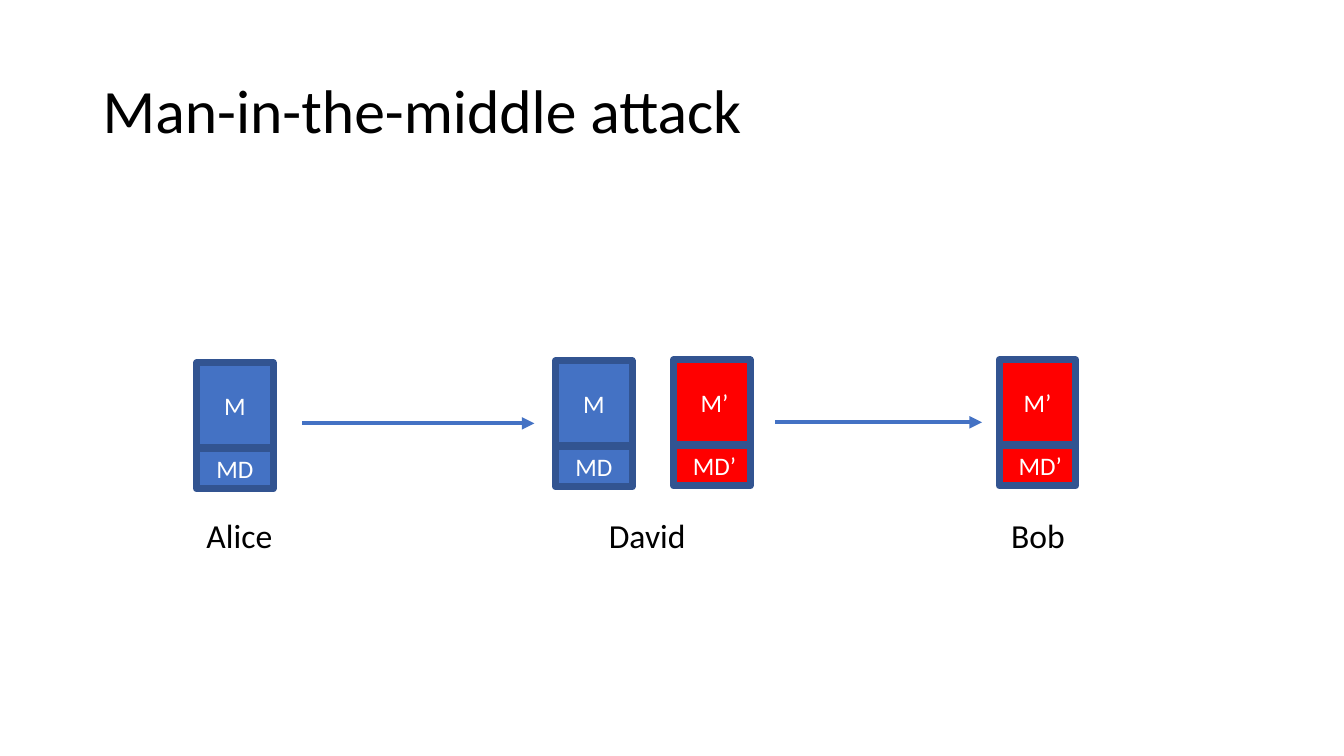
from lxml.etree import SubElement
from pptx import Presentation
from pptx.dml.color import RGBColor
from pptx.enum.shapes import MSO_CONNECTOR as Link, MSO_SHAPE as Shape
from pptx.enum.text import MSO_ANCHOR as Anchor, MSO_AUTO_SIZE as Fit, PP_ALIGN as Align
from pptx.oxml.ns import qn
from pptx.util import Inches, Pt

BLUE, RED, EDGE = "4472C4", "FF0000", "325491"


def color(code):
    return RGBColor.from_string(code)


def write(frame, text, size, code):
    """Fill a text frame with one styled paragraph and return the paragraph."""
    para = frame.paragraphs[0]
    para.text = text
    para.font.name = "Calibri"
    para.font.size = Pt(size)
    para.font.color.rgb = color(code)
    return para


deck = Presentation()
deck.slide_width, deck.slide_height = Inches(13.33), Inches(7.5)
slide = deck.slides.add_slide(deck.slide_layouts[6])
shapes = slide.shapes

# Title
title = shapes.add_textbox(Inches(0.92), Inches(0.4), Inches(11.5), Inches(1.45))
title.text_frame.word_wrap = True
title.text_frame.vertical_anchor = Anchor.MIDDLE
write(title.text_frame, "Man-in-the-middle attack", 44, "000000").line_spacing = 0.9

# Messages, each with its digest below
messages = [
    (1.95, 3.6, BLUE, "M", "MD"),
    (5.51, 3.58, BLUE, "M", "MD"),
    (6.68, 3.57, RED, " M’", " MD’"),
    (9.91, 3.57, RED, "M’", " MD’"),
]
for left, top, fill, body, digest in messages:
    for text, y, height in [(body, top, 0.84), (digest, top + 0.85, 0.4)]:
        box = shapes.add_shape(Shape.RECTANGLE, Inches(left), Inches(y),
                               Inches(0.76), Inches(height))
        box.shadow.inherit = False
        box.fill.solid()
        box.fill.fore_color.rgb = color(fill)
        box.line.color.rgb = color(EDGE)
        box.line.width = Pt(5)
        box.text_frame.vertical_anchor = Anchor.MIDDLE
        write(box.text_frame, text, 18, "FFFFFF").alignment = Align.CENTER

# People
for name, left, width in [("Alice", 1.95, 0.86), ("David", 5.94, 0.97), ("Bob", 9.93, 0.74)]:
    label = shapes.add_textbox(Inches(left), Inches(5.06), Inches(width), Inches(0.5))
    label.text_frame.word_wrap = False
    label.text_frame.auto_size = Fit.SHAPE_TO_FIT_TEXT
    write(label.text_frame, name, 24, "000000")

# Arrows
for start, end, y in [(3, 5.3, 4.2), (7.69, 9.74, 4.19)]:
    arrow = shapes.add_connector(Link.STRAIGHT, Inches(start), Inches(y), Inches(end), Inches(y))
    arrow.line.color.rgb = color(BLUE)
    arrow.line.width = Pt(3)
    SubElement(arrow.line._get_or_add_ln(), qn("a:tailEnd"), type="triangle")
    SubElement(arrow._element.spPr, qn("a:effectLst"))

deck.save("out.pptx")
